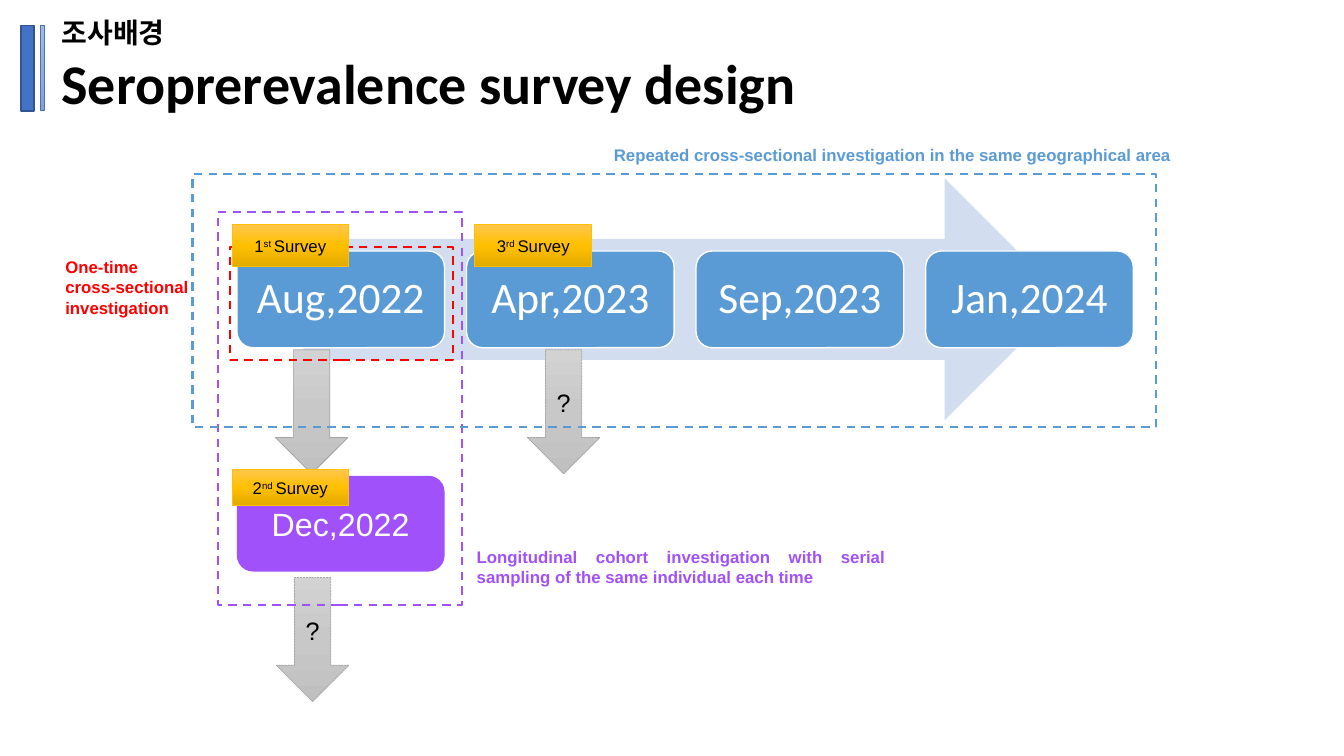
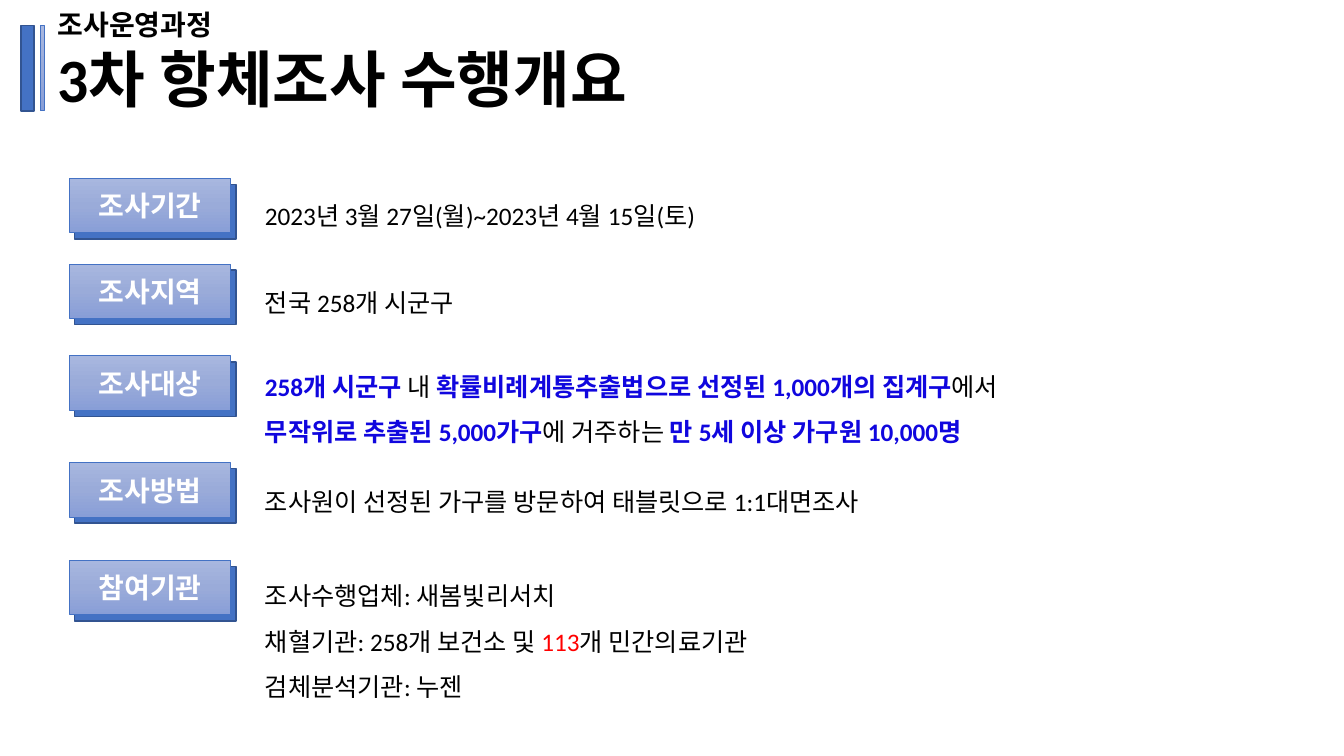
from lxml.etree import SubElement
from pptx import Presentation
from pptx.dml.color import RGBColor
from pptx.enum.dml import MSO_LINE
from pptx.enum.shapes import MSO_SHAPE
from pptx.enum.text import MSO_ANCHOR, MSO_AUTO_SIZE, PP_ALIGN
from pptx.oxml.ns import qn
from pptx.util import Inches, Pt

COLORS = {
    "navy": "4472C4", "navy_edge": "325491", "sky": "5B9BD5", "pale": "D2DEEF",
    "purple": "A151F9", "red": "FF0000", "gold": "FFC000", "gray": "A5A5A5",
    "blue": "1006DE", "black": "000000", "white": "FFFFFF",
}
GRADIENTS = {
    "navy_shade": ("A8B7DF", "9AABD9", "889ED7"),
    "gold_shade": ("FFC64B", "FFC000", "E3AB00"),
    "gray_shade": ("D2D2D2", "C8C8C8", "C0C0C0"),
}

prs = Presentation()
prs.slide_width, prs.slide_height = Inches(13.33), Inches(7.5)
CELL = prs.slide_height / 75


def write(tf, paragraphs, size, color="black", bold=False, font="Calibri",
          align=PP_ALIGN.CENTER, anchor=MSO_ANCHOR.MIDDLE, spacing=None):
    tf.word_wrap = True
    tf.auto_size = MSO_AUTO_SIZE.NONE
    tf.vertical_anchor = anchor
    for i, runs in enumerate(paragraphs):
        p = tf.add_paragraph() if i else tf.paragraphs[0]
        p.alignment = align
        p.line_spacing = spacing
        for run in [runs] if isinstance(runs, str) else runs:
            text, mark = (run, None) if isinstance(run, str) else run
            r = p.add_run()
            r.text = text
            r.font.name, r.font.size = font, Pt(size)
            r.font.bold = bold or mark == "blue"
            r.font.color.rgb = RGBColor.from_string(COLORS.get(mark, COLORS[color]))
            if mark == "super":
                r.font._element.set("baseline", "30000")


def draw(s, kind, grid, fill=None, line=None, width=1, dash=None):
    sp = s.shapes.add_shape(kind, *[round(n * CELL) for n in grid])
    sp.shadow.inherit = False
    if fill in GRADIENTS:
        sp.fill.gradient()
        sp.fill.gradient_angle = 270
        stops = sp._element.spPr.find(qn("a:gradFill")).find(qn("a:gsLst"))
        stops.clear()
        for pos, shade in zip((0, 50000, 100000), GRADIENTS[fill]):
            stop = SubElement(stops, qn("a:gs"), pos=str(pos))
            SubElement(stop, qn("a:srgbClr"), val=shade)
    elif fill:
        sp.fill.solid()
        sp.fill.fore_color.rgb = RGBColor.from_string(COLORS[fill])
    else:
        sp.fill.background()
    if line:
        sp.line.color.rgb = RGBColor.from_string(COLORS[line])
        sp.line.width = Pt(width)
        sp.line.dash_style = dash
    else:
        sp.line.fill.background()
    return sp


RECT = MSO_SHAPE.RECTANGLE
LEFT, TOP = PP_ALIGN.LEFT, MSO_ANCHOR.TOP

titles = [
    ("조사배경", "Seroprerevalence survey design", 40, (5.1, 1, 127, 11.1)),
    ("조사운영과정", "3차 항체조사 수행개요", 44, (4.7, 0.2, 69, 11.8)),
]
for section, heading, size, grid in titles:
    s = prs.slides.add_slide(prs.slide_layouts[5])
    draw(s, RECT, (2.1, 2.5, 1.3, 8.5), "navy", "navy_edge")
    draw(s, RECT, (4, 2.5, 0.4, 8.5), "navy_shade", "navy", 0.5)
    title = s.shapes.title
    title.left, title.top, title.width, title.height = [round(n * CELL) for n in grid]
    write(title.text_frame, [section, heading], size, bold=True, align=LEFT, anchor=TOP)
    title.text_frame.paragraphs[0].runs[0].font.size = Pt(20)

design, overview = prs.slides

draw(design, MSO_SHAPE.RIGHT_ARROW, (30.1, 17.7, 75.6, 24), "pale")
for i, month in enumerate(["Aug,2022", "Apr,2023", "Sep,2023", "Jan,2024"]):
    sp = draw(design, MSO_SHAPE.ROUNDED_RECTANGLE,
              (23.5 + 22.77 * i, 24.9, 20.6, 9.6), "sky", "white")
    write(sp.text_frame, [month], 31, "white", spacing=0.9)

arrows = [(27.3, 34.7, "", None), (27.4, 57.3, "?", MSO_LINE.SQUARE_DOT),
          (52.3, 34.7, "?", MSO_LINE.SQUARE_DOT)]
for x, y, mark, dash in arrows:
    sp = draw(design, MSO_SHAPE.DOWN_ARROW, (x, y, 7.2, 12.3), "gray_shade", "gray", 0.5, dash)
    if mark:
        write(sp.text_frame, [mark], 18, font="Arial")

sp = draw(design, MSO_SHAPE.FLOWCHART_ALTERNATE_PROCESS, (23.5, 47.2, 20.6, 9.5), "purple")
write(sp.text_frame, ["Dec,2022"], 23, "white", font="Arial")

scopes = [
    ("purple", (21.6, 21, 24.2, 39), (46.3, 52.5, 42.5, 7.5),
     ["Longitudinal cohort investigation with serial sampling of the same individual each time"]),
    ("red", (22.8, 24.5, 22.1, 11.2), (5.5, 23.2, 16.3, 10.6),
     ["One-time", "cross-sectional investigation"]),
    ("sky", (19.1, 17.3, 95.6, 25.1), (59.9, 12.9, 62.1, 4.9),
     ["Repeated cross-sectional investigation in the same geographical area"]),
]
for color, frame, caption, text in scopes:
    draw(design, RECT, frame, line=color, width=1.5, dash=MSO_LINE.DASH)
    tb = design.shapes.add_textbox(*[round(n * CELL) for n in caption])
    write(tb.text_frame, text, 12, color, True, "Arial", PP_ALIGN.JUSTIFY)

tags = [("1", "st ", (23, 22.3, 11.6, 4.1)), ("2", "nd ", (23, 46.6, 11.6, 3.5)),
        ("3", "rd ", (47.1, 22.3, 11.6, 4.1))]
for number, suffix, grid in tags:
    sp = draw(design, RECT, grid, "gold_shade", "gold", 0.5)
    write(sp.text_frame, [[number, (suffix, "super"), "Survey"]], 12, font="Arial")

rows = [
    ("조사기간", 17.7, 17.9, ["2023년 3월 27일(월)~2023년 4월 15일(토)"]),
    ("조사지역", 26.2, 26.5, ["전국 258개 시군구"]),
    ("조사대상", 35.3, 34.8, [
        [("258개 시군구 ", "blue"), "내 ",
         ("확률비례계통추출법으로 선정된 1,000개의 집계구", "blue"), "에서"],
        [("무작위로 추출된 5,000가구", "blue"), "에 거주하는 ",
         ("만 5세 이상 가구원 10,000명", "blue")]]),
    ("조사방법", 45.9, 46.3, ["조사원이 선정된 가구를 방문하여 태블릿으로 1:1대면조사"]),
    ("참여기관", 55.6, 55.6, [
        "조사수행업체: 새봄빛리서치",
        ["채혈기관: 258개 보건소 및 ", ("113", "red"), "개 민간의료기관"],
        "검체분석기관: 누젠"]),
]
for label, label_top, text_top, lines in rows:
    draw(overview, RECT, (7.4, label_top + 0.6, 16, 5.4), "navy", "navy_edge")
    sp = draw(overview, RECT, (6.9, label_top, 16, 5.4), "navy_shade", "navy", 0.5)
    write(sp.text_frame, [label], 20, "white", True)
    grid = (25.3, text_top, 103.7, 0.5 + 4.7 * len(lines))
    tb = overview.shapes.add_textbox(*[round(n * CELL) for n in grid])
    write(tb.text_frame, lines, 18, align=LEFT, anchor=TOP, spacing=1.5)

prs.save("out.pptx")
